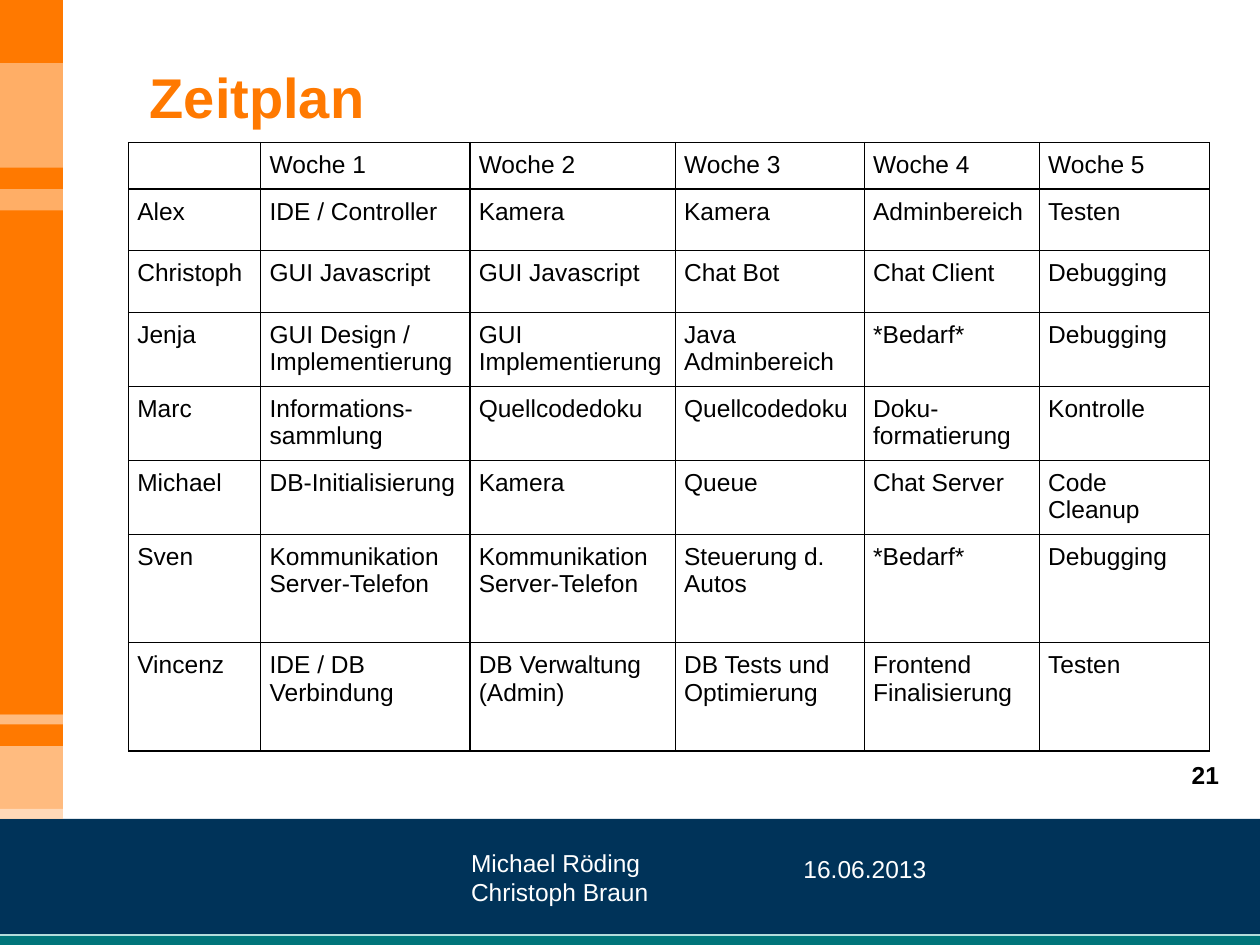
from dataclasses import dataclass

from lxml.etree import SubElement
from pptx import Presentation
from pptx.dml.color import RGBColor
from pptx.enum.shapes import MSO_CONNECTOR as Connector, MSO_SHAPE as Shape
from pptx.enum.text import MSO_ANCHOR as Anchor, PP_ALIGN as Align
from pptx.oxml.ns import qn
from pptx.util import Inches, Pt


@dataclass(frozen=True)
class Theme:
    font: str = "Arial"
    orange: str = "FF7900"
    navy: str = "003359"
    teal: str = "00747A"
    mist: str = "B4DCDC"
    white: str = "FFFFFF"
    black: str = "000000"
    title_size: int = 32
    body_size: int = 14
    line_width: float = 0.75


THEME = Theme()
PAGE_WIDTH, PAGE_HEIGHT = 10, 7.5
STRIPE_WIDTH = 0.5
FOOTER_TOP, FOOTER_EDGE = 6.5, 7.42

BANDS = [
    (0, 5.67, STRIPE_WIDTH, THEME.orange, 60),
    (FOOTER_TOP, 1, PAGE_WIDTH, THEME.navy, 100),
    (2.08, 1, STRIPE_WIDTH, THEME.orange, 100),
    (3.08, 3.42, STRIPE_WIDTH, THEME.orange, 50),
    (1.67, 4, STRIPE_WIDTH, THEME.orange, 100),
    (0.42, 0.08, STRIPE_WIDTH, THEME.orange, 50),
    (6.42, 0.08, STRIPE_WIDTH, THEME.white, 45),
    (FOOTER_EDGE, 0.08, PAGE_WIDTH, THEME.teal, 100),
    (0, 0.5, STRIPE_WIDTH, THEME.orange, 100),
    (1.33, 0.17, STRIPE_WIDTH, THEME.orange, 100),
    (5.75, 0.17, STRIPE_WIDTH, THEME.orange, 100),
]

LABELS = [
    (["16.06.2013"], (5.91, 6.68, 1.91, 0.5), THEME.body_size, THEME.white, False, Align.CENTER),
    (["Michael Röding", "Christoph Braun"], (3.64, 6.63, 1.67, 0.61),
     THEME.body_size, THEME.white, False, Align.LEFT),
    (["Zeitplan"], (1.09, 0.4, 6.42, 0.5), THEME.title_size, THEME.orange, True, Align.LEFT),
    (["21"], (9.36, 5.93, 0.6, 0.52), THEME.body_size, THEME.black, True, Align.LEFT),
]

SCHEDULE = [
    ["", "Woche 1", "Woche 2", "Woche 3", "Woche 4", "Woche 5"],
    ["Alex", "IDE / Controller", "Kamera", "Kamera", "Adminbereich", "Testen"],
    ["Christoph", "GUI Javascript", "GUI Javascript", "Chat Bot", "Chat Client", "Debugging"],
    ["Jenja", "GUI Design / Implementierung", "GUI Implementierung", "Java Adminbereich",
     "*Bedarf*", "Debugging"],
    ["Marc", "Informations-\nsammlung", "Quellcodedoku", "Quellcodedoku",
     "Doku-\nformatierung", "Kontrolle"],
    ["Michael", "DB-Initialisierung", "Kamera", "Queue", "Chat Server", "Code Cleanup"],
    ["Sven", "Kommunikation Server-Telefon", "Kommunikation Server-Telefon",
     "Steuerung d. Autos", "*Bedarf*", "Debugging"],
    ["Vincenz", "IDE / DB Verbindung", "DB Verwaltung (Admin)", "DB Tests und Optimierung",
     "Frontend Finalisierung", "Testen"],
]
TABLE_LEFT, TABLE_TOP = 1.02, 1.13
COLUMN_WIDTHS = [1.05, 1.66, 1.63, 1.5, 1.39, 1.35]
ROW_HEIGHTS = [0.37] + [0.49] * 5 + [0.86] * 2
LABEL_INSET = 0.1
CELL_INSET, CELL_BOTTOM = 0.07, 0.05


def style_text(frame, size, color, bold=False, align=Align.LEFT):
    for para in frame.paragraphs:
        para.alignment = align
        para.font.name = THEME.font
        para.font.size = Pt(size)
        para.font.bold = bold
        para.font.color.rgb = RGBColor.from_string(color)


def set_insets(holder, inset, bottom):
    holder.margin_left = holder.margin_right = holder.margin_top = Inches(inset)
    holder.margin_bottom = Inches(bottom)


def add_band(page, top, height, width, color, opacity):
    band = page.shapes.add_shape(
        Shape.RECTANGLE, 0, Inches(top), Inches(width), Inches(height))
    band.shadow.inherit = False
    band.line.fill.background()
    band.fill.solid()
    band.fill.fore_color.rgb = RGBColor.from_string(color)
    if opacity < 100:
        tint = band.fill._xPr.find(f".//{qn('a:srgbClr')}")
        SubElement(tint, qn("a:alpha"), val=str(opacity * 1000))


def add_footer_line(page):
    edge = page.shapes.add_connector(
        Connector.STRAIGHT, 0, Inches(FOOTER_EDGE), Inches(PAGE_WIDTH), Inches(FOOTER_EDGE))
    edge.line.color.rgb = RGBColor.from_string(THEME.mist)
    edge.line.width = Pt(THEME.line_width)
    SubElement(edge._element.spPr, qn("a:effectLst"))


def add_label(page, lines, place, size, color, bold, align):
    box = page.shapes.add_textbox(*map(Inches, place))
    frame = box.text_frame
    frame.word_wrap = True
    frame.vertical_anchor = Anchor.TOP
    set_insets(frame, LABEL_INSET, LABEL_INSET)
    frame.text = "\n".join(lines)
    style_text(frame, size, color, bold, align)


def add_borders(cell):
    properties = cell._tc.get_or_add_tcPr()
    for side in ("lnL", "lnR", "lnT", "lnB"):
        border = SubElement(properties, qn(f"a:{side}"), w=str(Pt(THEME.line_width)))
        fill = SubElement(border, qn("a:solidFill"))
        SubElement(fill, qn("a:srgbClr"), val=THEME.black)


def add_schedule(page):
    table = page.shapes.add_table(
        len(SCHEDULE), len(COLUMN_WIDTHS), Inches(TABLE_LEFT), Inches(TABLE_TOP),
        Inches(sum(COLUMN_WIDTHS)), Inches(sum(ROW_HEIGHTS))).table
    table.first_row = table.horz_banding = False
    for column, width in zip(table.columns, COLUMN_WIDTHS):
        column.width = Inches(width)
    for row, height, entries in zip(table.rows, ROW_HEIGHTS, SCHEDULE):
        row.height = Inches(height)
        for cell, entry in zip(row.cells, entries):
            add_borders(cell)
            cell.fill.background()
            set_insets(cell, CELL_INSET, CELL_BOTTOM)
            cell.text_frame.text = entry
            style_text(cell.text_frame, THEME.body_size, THEME.black)


def main():
    """Build the project schedule slide."""
    deck = Presentation()
    deck.slide_width, deck.slide_height = Inches(PAGE_WIDTH), Inches(PAGE_HEIGHT)
    page = deck.slides.add_slide(deck.slide_layouts[6])
    for band in BANDS:
        add_band(page, *band)
    add_footer_line(page)
    for label in LABELS:
        add_label(page, *label)
    add_schedule(page)
    deck.save("out.pptx")


if __name__ == "__main__":
    main()
